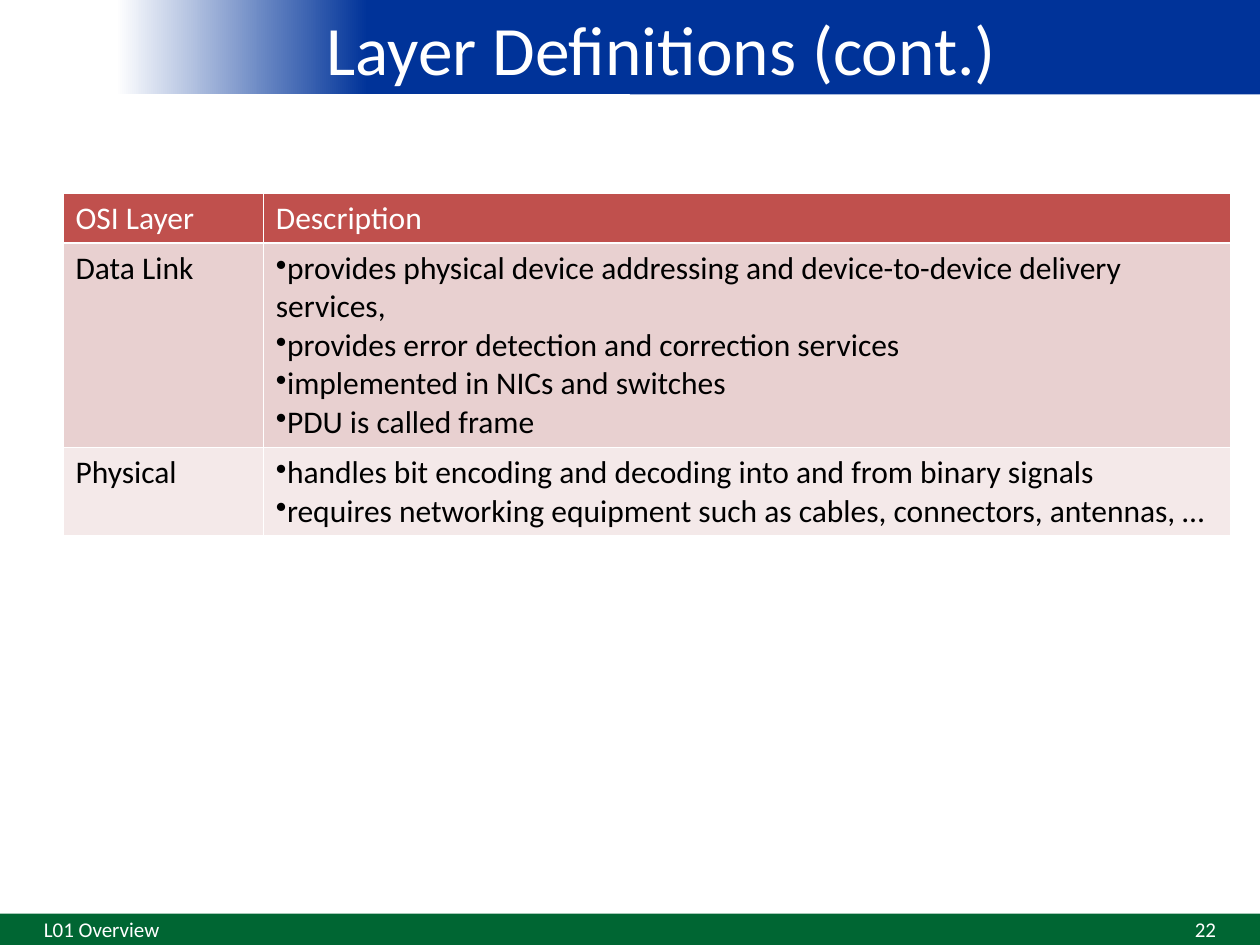
from lxml.etree import SubElement
from pptx import Presentation
from pptx.dml.color import RGBColor
from pptx.enum.shapes import MSO_SHAPE
from pptx.enum.text import MSO_ANCHOR, PP_ALIGN
from pptx.oxml import parse_xml
from pptx.oxml.ns import nsdecls, qn
from pptx.util import Inches, Pt

WHITE = RGBColor(0xFF, 0xFF, 0xFF)
BLACK = RGBColor(0x00, 0x00, 0x00)
BLUE = RGBColor(0x00, 0x33, 0x99)
GREEN = RGBColor(0x00, 0x66, 0x33)
RED = RGBColor(0xC0, 0x50, 0x4D)
PINK = RGBColor(0xE8, 0xD0, 0xD0)
PALE_PINK = RGBColor(0xF4, 0xE9, 0xE9)


class SlideBuilder:
    font_name = "Calibri"

    def __init__(self, slide):
        self.slide = slide

    def style(self, paragraph, size, color, align=PP_ALIGN.LEFT):
        paragraph.alignment = align
        paragraph.font.name = self.font_name
        paragraph.font.size = Pt(size)
        paragraph.font.color.rgb = color

    def bar(self, left, top, width, height, color):
        shape = self.slide.shapes.add_shape(
            MSO_SHAPE.RECTANGLE, Inches(left), Inches(top), Inches(width), Inches(height))
        shape.shadow.inherit = False
        shape.line.fill.background()
        shape.fill.solid()
        shape.fill.fore_color.rgb = color
        return shape

    def gradient_bar(self, left, top, width, height, stops, angle):
        fill = self.bar(left, top, width, height, WHITE).fill
        fill.gradient()
        fill.gradient_angle = angle
        for stop, (position, color) in zip(fill.gradient_stops, stops):
            stop.position = position
            stop.color.rgb = color

    def text(self, left, top, width, height, content, size, align):
        shape = self.slide.shapes.add_textbox(
            Inches(left), Inches(top), Inches(width), Inches(height))
        frame = shape.text_frame
        frame.word_wrap = True
        frame.vertical_anchor = MSO_ANCHOR.MIDDLE
        frame.text = content
        self.style(frame.paragraphs[0], size, WHITE, align)

    def cell(self, cell, content, fill, color):
        bulleted = isinstance(content, list)
        cell.text = "\n".join(content) if bulleted else content
        for paragraph in cell.text_frame.paragraphs:
            self.style(paragraph, 18, color)
            if bulleted:
                properties = paragraph._p.get_or_add_pPr()
                properties.set("marL", "0")
                properties.set("indent", "0")
                bullet = SubElement(properties, qn("a:buChar"))
                bullet.set("char", "•")
                properties.remove(bullet)
                properties.insert_element_before(bullet, "a:tabLst", "a:defRPr", "a:extLst")
        cell.fill.solid()
        cell.fill.fore_color.rgb = fill
        for index, side in enumerate("LRTB"):
            cell._tc.tcPr.insert(index, parse_xml(
                f'<a:ln{side} {nsdecls("a")} w="{Pt(1)}"><a:solidFill>'
                f'<a:srgbClr val="{WHITE}"/></a:solidFill></a:ln{side}>'))

    def table(self, left, top, widths, heights, rows, styles):
        table = self.slide.shapes.add_table(
            len(heights), len(widths), Inches(left), Inches(top),
            Inches(sum(widths)), Inches(sum(heights))).table
        for column, width in zip(table.columns, widths):
            column.width = Inches(width)
        for row, height, contents, (fill, color) in zip(table.rows, heights, rows, styles):
            row.height = Inches(height)
            for cell, content in zip(row.cells, contents):
                self.cell(cell, content, fill, color)


presentation = Presentation()
presentation.slide_width = Inches(10)
presentation.slide_height = Inches(7.5)
builder = SlideBuilder(presentation.slides.add_slide(presentation.slide_layouts[6]))

# Title band
builder.bar(5, 0, 5, 0.75, BLUE)
builder.gradient_bar(0.75, 0, 4.25, 0.75, [(0.49, BLUE), (0.96, WHITE)], 180)
builder.text(0.75, 0, 9, 0.75, "Layer Definitions (cont.)", 39.6, PP_ALIGN.CENTER)

# Layer table
layer_rows = [
    ("OSI Layer", "Description"),
    ("Data Link", [
        "provides physical device addressing and device-to-device delivery services,",
        "provides error detection and correction services",
        "implemented in NICs and switches",
        "PDU is called frame",
    ]),
    ("Physical", [
        "handles bit encoding and decoding into and from binary signals",
        "requires networking equipment such as cables, connectors, antennas, …",
    ]),
]
builder.table(0.5, 1.53, [1.59, 7.68], [0.4, 1.62, 0.7], layer_rows,
              [(RED, WHITE), (PINK, BLACK), (PALE_PINK, BLACK)])

# Footer
builder.bar(0, 7.25, 10, 0.25, GREEN)
builder.text(0.25, 7.25, 2.33, 0.25, "L01 Overview", 12, PP_ALIGN.LEFT)
builder.text(7.42, 7.25, 2.33, 0.25, "22", 12, PP_ALIGN.RIGHT)

presentation.save("out.pptx")
